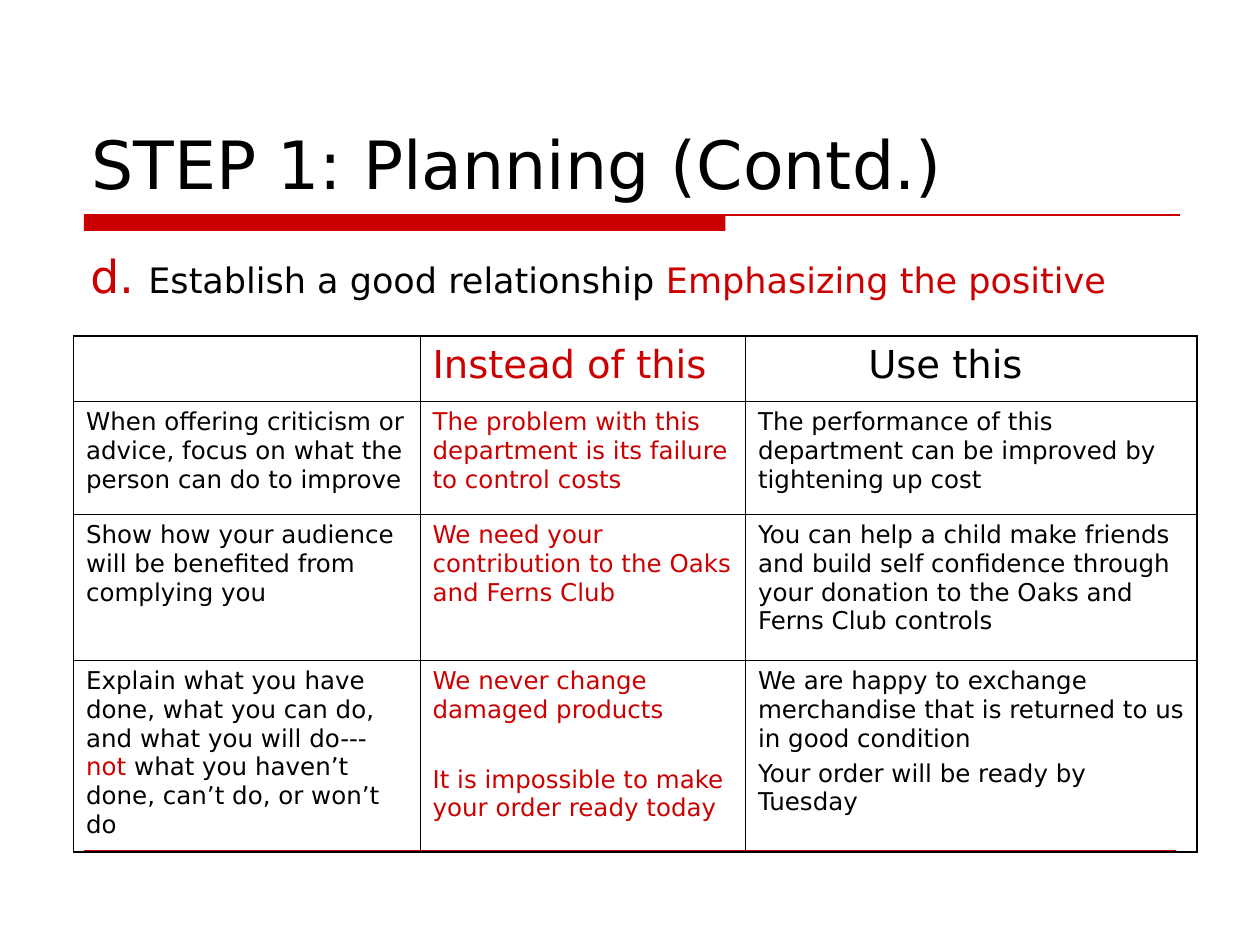
from dataclasses import dataclass

from lxml.etree import SubElement
from pptx import Presentation
from pptx.dml.color import RGBColor as RGB
from pptx.enum.shapes import MSO_CONNECTOR as Connector, MSO_SHAPE as Shape
from pptx.enum.text import MSO_ANCHOR as Anchor, MSO_AUTO_SIZE as AutoSize, PP_ALIGN as Align
from pptx.oxml.ns import qn
from pptx.util import Pt


@dataclass(frozen=True)
class Theme:
    font: str = "DejaVu Sans"
    black: RGB = RGB(0x00, 0x00, 0x00)
    red: RGB = RGB(0xCC, 0x00, 0x00)
    title: float = 38
    letter: float = 26
    lead: float = 20
    header: float = 22
    cell: float = 14
    inner: float = 0.45
    outer: float = 1.08


T = Theme()

COLUMNS = [198, 186, 258]
ROWS = [37.5, 64.5, 83.5, 109.5]
HEADERS = ["", "Instead of this", "Use this"]
# Each cell holds one or more paragraphs
ADVICE = [
    [["When offering criticism or advice, focus on what the person can do to improve"],
     ["The problem with this department is its failure to control costs"],
     ["The performance of this department can be improved by tightening up cost"]],
    [["Show how your audience will be benefited from complying you"],
     ["We need your contribution to the Oaks and Ferns Club"],
     ["You can help a child make friends and build self confidence through "
      "your donation to the Oaks and Ferns Club controls"]],
    [[[("Explain what you have done, what you can do, and what you will do--- ", T.black),
       ("not ", T.red),
       ("what you haven’t done, can’t do, or won’t do", T.black)]],
     ["We never change damaged products",
      "It is impossible to make your order ready today"],
     ["We are happy to exchange merchandise that is returned to us in good condition",
      "Your order will be ready by Tuesday"]],
]


def add_run(p, text, size, color):
    r = p.add_run()
    r.text = text
    r.font.name, r.font.size = T.font, Pt(size)
    r.font.color.rgb = color


def place(sp, left, top, width, height, anchor):
    sp.left, sp.top, sp.width, sp.height = Pt(left), Pt(top), Pt(width), Pt(height)
    tf = sp.text_frame
    tf.word_wrap, tf.auto_size, tf.vertical_anchor = True, AutoSize.NONE, anchor
    p = tf.paragraphs[0]
    p.alignment = Align.LEFT
    return p


def indent(p, left, first=0, bullet=True):
    pPr = p._p.get_or_add_pPr()
    pPr.set("marL", str(Pt(left)))
    pPr.set("indent", str(Pt(first)))
    if not bullet:
        SubElement(pPr, qn("a:buNone"))


def add_rule(s, left, right, y, weight):
    line = s.shapes.add_connector(Connector.STRAIGHT, Pt(left), Pt(y), Pt(right), Pt(y))
    line.line.color.rgb, line.line.width = T.red, Pt(weight)
    SubElement(line._element.spPr, qn("a:effectLst"))


def add_bar(s, left, top, width, height):
    bar = s.shapes.add_shape(Shape.RECTANGLE, Pt(left), Pt(top), Pt(width), Pt(height))
    bar.shadow.inherit = False
    bar.fill.solid()
    bar.fill.fore_color.rgb = T.red
    bar.line.fill.background()


def set_borders(cell, weights):
    tcPr = cell._tc.get_or_add_tcPr()
    for side, weight in weights.items():
        ln = SubElement(tcPr, qn(f"a:ln{side}"), w=str(Pt(weight)))
        fill = SubElement(ln, qn("a:solidFill"))
        SubElement(fill, qn("a:srgbClr"), val=str(T.black))


def fill_cell(cell, paragraphs, size, color, before, gap):
    tf = cell.text_frame
    for i, content in enumerate(paragraphs):
        p = tf.add_paragraph() if i else tf.paragraphs[0]
        p.space_before = Pt(gap if i else before)
        runs = [(content, color)] if isinstance(content, str) else content
        for text, run_color in runs:
            add_run(p, text, size, run_color)


def add_advice_table(s, left, top):
    frame = s.shapes.add_table(len(ROWS), len(COLUMNS), Pt(left), Pt(top),
                               Pt(sum(COLUMNS)), Pt(sum(ROWS)))
    table = frame.table
    table.first_row = table.horz_banding = False
    for column, width in zip(table.columns, COLUMNS):
        column.width = Pt(width)
    for row, height in zip(table.rows, ROWS):
        row.height = Pt(height)

    # Heavy outer frame, thin inner grid
    last_row, last_col = len(ROWS) - 1, len(COLUMNS) - 1
    for i in range(len(ROWS)):
        for j in range(len(COLUMNS)):
            cell = table.cell(i, j)
            edges = {"L": j == 0, "R": j == last_col, "T": i == 0, "B": i == last_row}
            set_borders(cell, {side: T.outer if edge else T.inner
                               for side, edge in edges.items()})
            cell.fill.background()
            color = T.red if j == 1 else T.black
            if i:
                # The red examples stand a blank line apart
                gap = 23.4 if j == 1 else 3.5
                fill_cell(cell, ADVICE[i - 1][j], T.cell, color, 3.5, gap)
            elif HEADERS[j]:
                fill_cell(cell, [HEADERS[j]], T.header, color, 5.5, 0)
    indent(table.cell(0, last_col).text_frame.paragraphs[0], 63)


def main():
    prs = Presentation()
    prs.slide_width, prs.slide_height = Pt(720), Pt(540)
    s = prs.slides.add_slide(prs.slide_layouts[1])
    title, body = s.placeholders

    # Title with its underline, and the bottom rule
    p = place(title, 45, 23.5, 630, 96, Anchor.BOTTOM)
    add_run(p, "STEP 1: Planning (Contd.)", T.title, T.black)
    add_bar(s, 48, 123, 366.5, 9)
    add_rule(s, 48, 674.5, 123, 1)
    add_rule(s, 48, 672, 486, 0.25)

    # Lead line
    p = place(body, 44.5, 138, 627, 336, Anchor.TOP)
    p.space_before = Pt(5)
    indent(p, 36.5, -36.5, bullet=False)
    add_run(p, "d. ", T.letter, T.red)
    add_run(p, "Establish a good relationship ", T.lead, T.black)
    add_run(p, "Emphasizing the positive", T.lead, T.red)

    # Comparison of wordings
    add_advice_table(s, 42, 192)
    prs.save("out.pptx")


if __name__ == "__main__":
    main()
